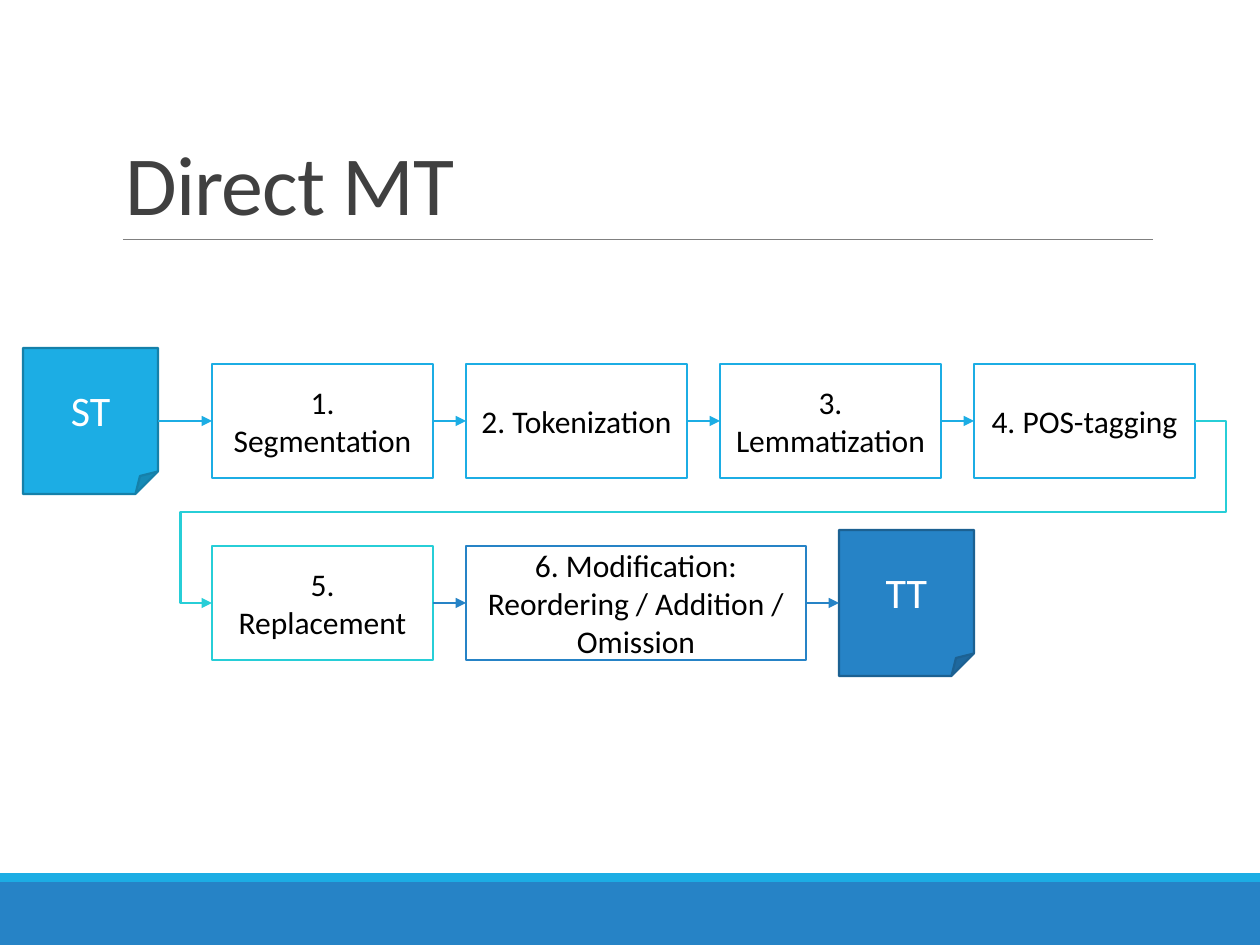
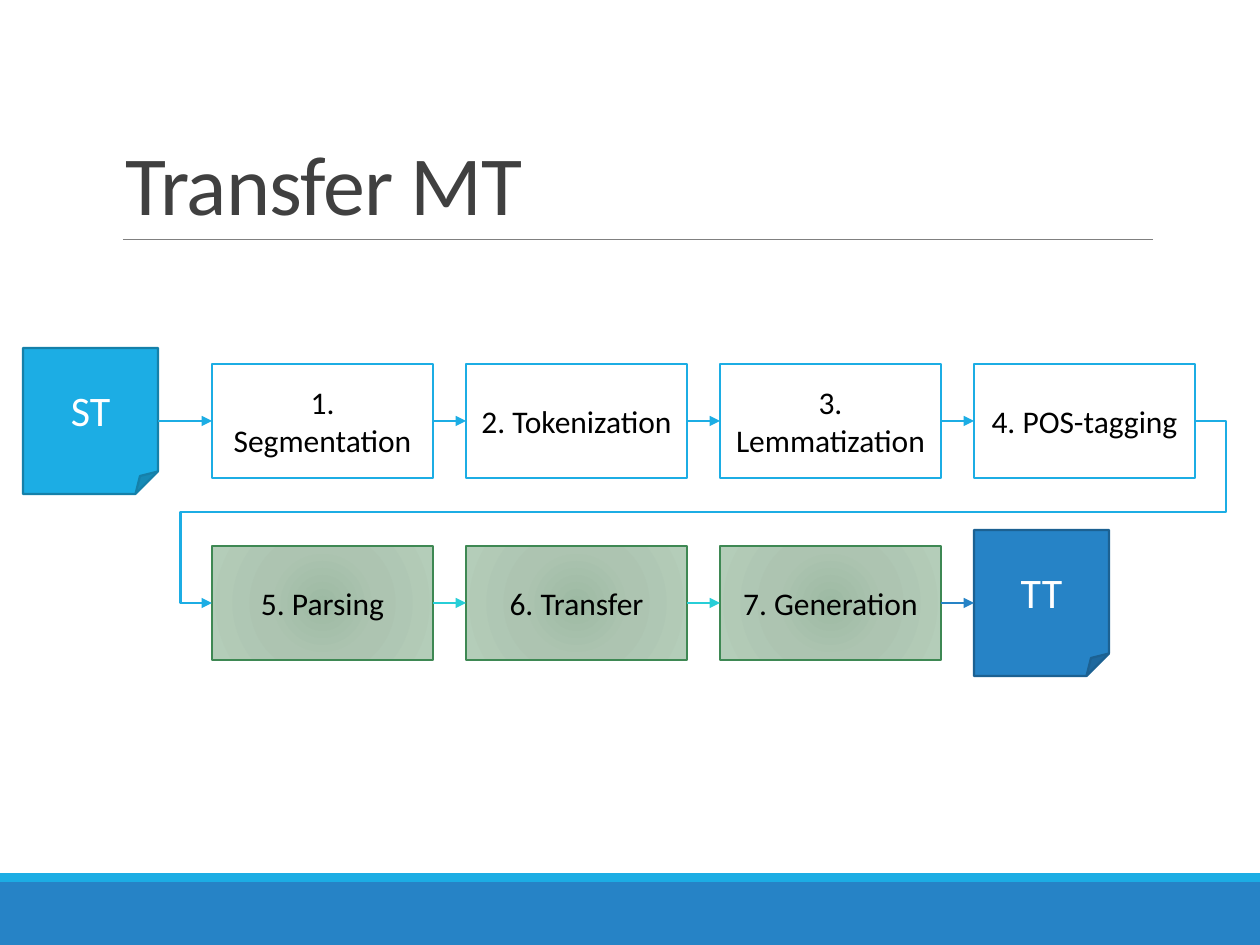
from lxml import etree
from pptx import Presentation
from pptx.dml.color import RGBColor
from pptx.enum.shapes import MSO_CONNECTOR, MSO_SHAPE
from pptx.enum.text import MSO_ANCHOR, PP_ALIGN
from pptx.oxml import parse_xml
from pptx.oxml.ns import nsdecls, qn
from pptx.util import Pt

RECTANGLE, FOLDED = MSO_SHAPE.RECTANGLE, MSO_SHAPE.FOLDED_CORNER
STRAIGHT, ELBOW = MSO_CONNECTOR.STRAIGHT, MSO_CONNECTOR.ELBOW
MIDDLE, BOTTOM = MSO_ANCHOR.MIDDLE, MSO_ANCHOR.BOTTOM
LEFT, CENTER = PP_ALIGN.LEFT, PP_ALIGN.CENTER
LEFT_SIDE, RIGHT_SIDE = 1, 3

# Shared palette and measures, in px
SKY, TEAL, BLUE, GREEN = "1CADE4", "27CED7", "2683C6", "3E8853"
WHITE, BLACK, TITLE_GRAY, RULE_GRAY = "FFFFFF", "000000", "404040", "808080"
SKY_EDGE, BLUE_EDGE = "1580A9", "1C6192"
GREEN_GLOW = [(0, "9DBAA3"), (45, "ADC4B1"), (100, "B4CDB9")]
PAGE_WIDTH, PAGE_HEIGHT = 1260, 945
STEP_LEFT, STEP_WIDTH, STEP_HEIGHT, GAP = 212, 221, 114, 33
ROW_MIDDLES = (421, 603)
SHEET_LEFT, SHEET_WIDTH, SHEET_HEIGHT = 23, 135, 146


def px(length):
    return round(length * 914400 / 126)


def color(hex_code):
    return RGBColor.from_string(hex_code)


class Deck:
    font = "Calibri"

    def __init__(self):
        self.show = Presentation()
        self.show.slide_width = px(PAGE_WIDTH)
        self.show.slide_height = px(PAGE_HEIGHT)
        self.page = None

    def new_page(self, title):
        """Start a page with its bands, rule and title."""
        self.page = self.show.slides.add_slide(self.show.slide_layouts[6])
        self.shape(RECTANGLE, 0, 882, PAGE_WIDTH, 63, BLUE)
        self.shape(RECTANGLE, 0, 873, PAGE_WIDTH, 9, SKY)
        self.line((123, 239), (1153, 239), RULE_GRAY, 0.5)
        box = self.page.shapes.add_textbox(px(113), px(39), px(1040), px(200))
        self.label(box, [title], 48, TITLE_GRAY, LEFT, BOTTOM)
        para = box.text_frame.paragraphs[0]
        para.line_spacing = 0.85
        para.runs[0]._r.get_or_add_rPr().set("spc", "-50")

    def label(self, box, texts, size, ink, align=CENTER, anchor=MIDDLE):
        frame = box.text_frame
        frame.word_wrap = True
        frame.vertical_anchor = anchor
        for index, text in enumerate(texts):
            para = frame.add_paragraph() if index else frame.paragraphs[0]
            para.alignment = align
            span = para.add_run()
            span.text = text
            span.font.name = self.font
            span.font.size = Pt(size)
            span.font.color.rgb = color(ink)

    def shape(self, kind, left, top, width, height, fill, edge=None, weight=1.25):
        box = self.page.shapes.add_shape(kind, px(left), px(top), px(width), px(height))
        box.shadow.inherit = False
        box.fill.solid()
        box.fill.fore_color.rgb = color(fill)
        if edge:
            box.line.color.rgb = color(edge)
            box.line.width = Pt(weight)
        else:
            box.line.fill.background()
        return box

    def glow(self, box, stops):
        """Replace a solid fill with a radial gradient."""
        marks = "".join(
            f'<a:gs pos="{percent * 1000}"><a:srgbClr val="{shade}"/></a:gs>'
            for percent, shade in stops)
        gradient = parse_xml(
            f'<a:gradFill {nsdecls("a")}><a:gsLst>{marks}</a:gsLst><a:path path="circle">'
            '<a:fillToRect l="100000" t="100000" r="100000" b="100000"/></a:path></a:gradFill>')
        properties = box._element.spPr
        properties.replace(properties.find(qn("a:solidFill")), gradient)

    def sheet(self, text, left, row, fill, edge):
        top = ROW_MIDDLES[row] - SHEET_HEIGHT // 2
        box = self.shape(FOLDED, left, top, SHEET_WIDTH, SHEET_HEIGHT, fill, edge)
        self.label(box, [text], 24, WHITE)
        return box

    def step(self, texts, left, row, edge, width=STEP_WIDTH, weight=1.25):
        top = ROW_MIDDLES[row] - STEP_HEIGHT // 2
        box = self.shape(RECTANGLE, left, top, width, STEP_HEIGHT, WHITE, edge, weight)
        self.label(box, texts, 18, BLACK)
        return box

    def line(self, start, end, ink, weight, kind=STRAIGHT):
        line = self.page.shapes.add_connector(kind, *map(px, start + end))
        line.line.color.rgb = color(ink)
        line.line.width = Pt(weight)
        etree.SubElement(line._element.spPr, qn("a:effectLst"))
        return line

    def arrow(self, source, target, ink, weight=1, kind=STRAIGHT):
        """Join the right side of one shape to the left side of another."""
        arrow = self.line((0, 0), (0, 0), ink, weight, kind)
        arrow.begin_connect(source, RIGHT_SIDE)
        arrow.end_connect(target, LEFT_SIDE)
        outline = arrow._element.spPr.find(qn("a:ln"))
        etree.SubElement(outline, qn("a:tailEnd"), type="triangle")
        return arrow

    def row_wrap(self, source, target, ink):
        """Lead from the end of one row around to the start of the next."""
        arrow = self.arrow(source, target, ink, 1.25, ELBOW)
        geometry = arrow._element.spPr.find(qn("a:prstGeom"))
        geometry.set("prst", "bentConnector5")
        guides = geometry.find(qn("a:avLst"))
        if guides is None:
            guides = etree.SubElement(geometry, qn("a:avLst"))
        for number, value in enumerate((-3200, 50000, 103200), 1):
            etree.SubElement(guides, qn("a:gd"), name=f"adj{number}", fmla=f"val {value}")


def step_left(column):
    return STEP_LEFT + column * (STEP_WIDTH + GAP)


def add_analysis_row(deck):
    """Source text and the four steps that both methods share."""
    names = ("1. Segmentation", "2. Tokenization", "3. Lemmatization", "4. POS-tagging")
    chain = [deck.sheet("ST", SHEET_LEFT, 0, SKY, SKY_EDGE)]
    chain += [deck.step([name], step_left(column), 0, SKY)
              for column, name in enumerate(names)]
    for source, target in zip(chain, chain[1:]):
        deck.arrow(source, target, SKY)
    return chain[-1]


def add_direct_page(deck):
    deck.new_page("Direct MT")
    tagging = add_analysis_row(deck)
    modification_width = 340
    replacement = deck.step(["5. Replacement"], step_left(0), 1, TEAL)
    modification = deck.step(
        ["6. Modification: Reordering / Addition /", "Omission"],
        step_left(1), 1, BLUE, modification_width)
    target_text = deck.sheet(
        "TT", step_left(1) + modification_width + GAP, 1, BLUE, BLUE_EDGE)
    deck.row_wrap(tagging, replacement, TEAL)
    deck.arrow(replacement, modification, BLUE)
    deck.arrow(modification, target_text, BLUE)


def add_transfer_page(deck):
    deck.new_page("Transfer MT")
    tagging = add_analysis_row(deck)
    steps = []
    for column, name in enumerate(("5. Parsing", "6. Transfer", "7. Generation")):
        box = deck.step([name], step_left(column), 1, GREEN, weight=1)
        deck.glow(box, GREEN_GLOW)
        steps.append(box)
    target_text = deck.sheet("TT", step_left(3), 1, BLUE, BLUE_EDGE)
    deck.row_wrap(tagging, steps[0], SKY)
    for source, target in zip(steps, steps[1:]):
        deck.arrow(source, target, TEAL, 1.25)
    deck.arrow(steps[-1], target_text, BLUE)


def main():
    deck = Deck()
    add_direct_page(deck)
    add_transfer_page(deck)
    deck.show.save("out.pptx")


if __name__ == "__main__":
    main()
